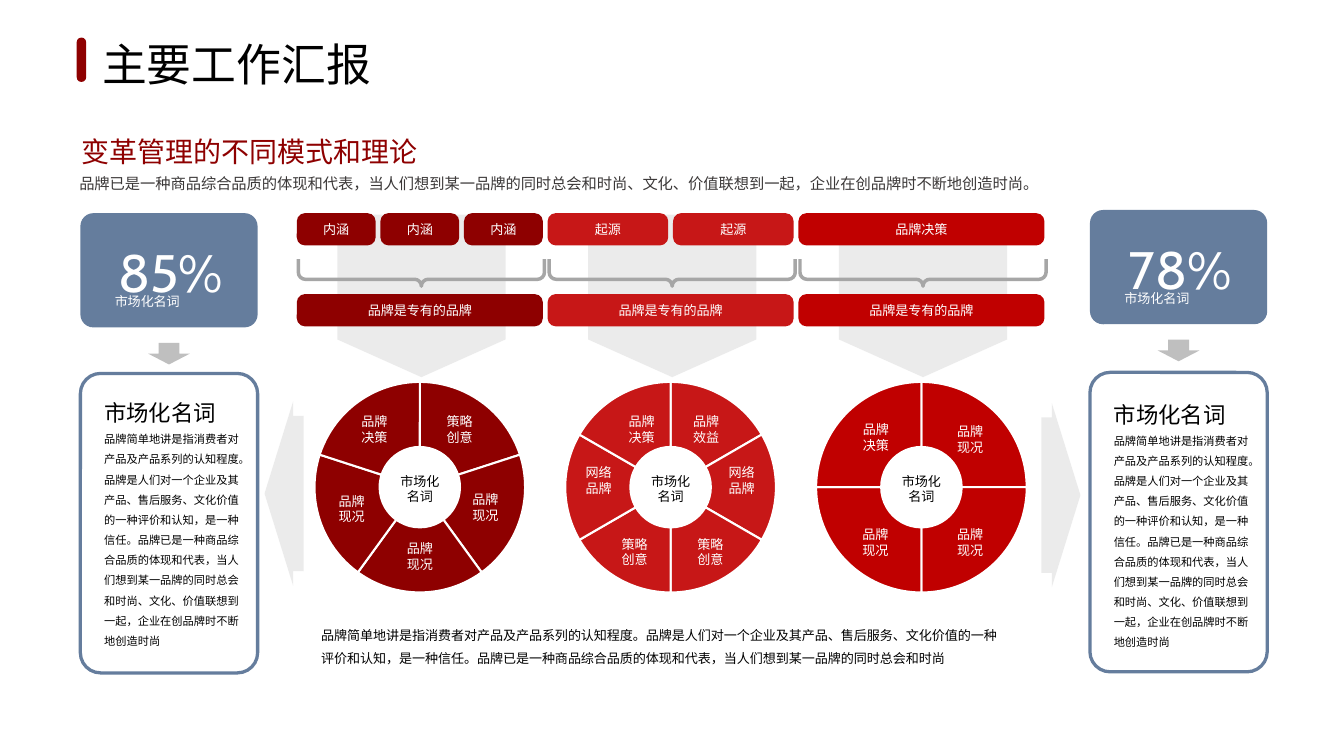
from dataclasses import dataclass
from math import cos, pi, sin

from lxml.etree import SubElement
from pptx import Presentation
from pptx.dml.color import RGBColor
from pptx.enum.shapes import MSO_SHAPE
from pptx.enum.text import MSO_ANCHOR, PP_ALIGN
from pptx.oxml.ns import qn
from pptx.util import Cm, Pt


@dataclass(frozen=True)
class Theme:
    font: str = "Cabin"
    dark_red: str = "8E0000"
    red: str = "C71717"
    bright_red: str = "C00000"
    blue: str = "657D9D"
    pale: str = "D9D9D9"
    brace: str = "A6A6A6"
    pointer: str = "BFBFBF"
    ink: str = "000000"
    soft_ink: str = "3B3838"
    white: str = "FFFFFF"
    title: float = 24
    subtitle: float = 15
    intro: float = 8.2
    figure: float = 28.2
    heading: float = 12
    label: float = 7
    body: float = 6


THEME = Theme()

# Content
TITLE = "主要工作汇报"
SUBTITLE = "变革管理的不同模式和理论"
INTRO = ("品牌已是一种商品综合品质的体现和代表，当人们想到某一品牌的同时总会和时尚、"
         "文化、价值联想到一起，企业在创品牌时不断地创造时尚。")
SUMMARY = ("品牌简单地讲是指消费者对产品及产品系列的认知程度。品牌是人们对一个企业及其"
           "产品、售后服务、文化价值的一种评价和认知，是一种信任。品牌已是一种商品综合"
           "品质的体现和代表，当人们想到某一品牌的同时总会和时尚")
DETAIL = SUMMARY + "、文化、价值联想到一起，企业在创品牌时不断地创造时尚"
TERM = "市场化名词"
HUB = "市场化\n名词"
RESULT = "品牌是专有的品牌"

# Segment labels run clockwise, with offsets in cm from the ring's centre
COLUMNS = [
    {"color": THEME.dark_red, "sources": ["内涵"] * 3, "segments": [
        ("策略\n创意", 0.75, -1.09), ("品牌\n现况", 1.24, 0.38), ("品牌\n现况", 0, 1.3),
        ("品牌\n现况", -1.29, 0.41), ("品牌\n决策", -0.86, -1.09)]},
    {"color": THEME.red, "sources": ["起源"] * 2, "segments": [
        ("品牌\n效益", 0.67, -1.09), ("网络\n品牌", 1.34, -0.13), ("策略\n创意", 0.75, 1.22),
        ("策略\n创意", -0.68, 1.22), ("网络\n品牌", -1.36, -0.13), ("品牌\n决策", -0.55, -1.09)]},
    {"color": THEME.bright_red, "sources": ["品牌决策"], "segments": [
        ("品牌\n现况", 0.92, -0.91), ("品牌\n现况", 0.92, 1.04),
        ("品牌\n现况", -0.87, 1.04), ("品牌\n决策", -0.86, -0.94)]},
]
SIDES = [
    {"figure": "85%", "x": 1.52, "card_y": 4.03, "panel_y": 7.06, "text_y": 7.19,
     "arrow": (MSO_SHAPE.LEFT_ARROW, 5.0, 7.59)},
    {"figure": "78%", "x": 20.6, "card_y": 3.97, "panel_y": 7.04, "text_y": 7.22,
     "arrow": (MSO_SHAPE.RIGHT_ARROW, 19.68, 7.62)},
]

# Layout in cm
COLUMN_X, COLUMN_W, GAP = 5.61, 4.65, 0.09
PILL_H, SOURCE_Y, RESULT_Y = 0.61, 4.03, 5.56
BRACE_Y, BRACE_DEPTH, BRACE_CURVE = 4.9, 0.51, 0.13
RING_Y, OUTER, INNER = 9.21, 1.99, 0.76
SIDE_W, SIDE_INSET = 3.35, 0.27
TIGHT, ROOMY, DEFAULT = (0.05, 0.05), (0.18, 0.1), (0.25, 0.13)

prs = Presentation()
prs.slide_width, prs.slide_height = Cm(25.4), Cm(14.29)
shapes = prs.slides.add_slide(prs.slide_layouts[6]).shapes


def write(frame, text, size, color, align=PP_ALIGN.LEFT, anchor=MSO_ANCHOR.TOP,
          inset=TIGHT, spacing=None, wrap=True):
    frame.word_wrap, frame.vertical_anchor = wrap, anchor
    frame.margin_left = frame.margin_right = Cm(inset[0])
    frame.margin_top = frame.margin_bottom = Cm(inset[1])
    frame.text = text
    for paragraph in frame.paragraphs:
        paragraph.alignment = align
        if spacing:
            paragraph.line_spacing = spacing
        paragraph.font.name, paragraph.font.size = THEME.font, Pt(size)
        paragraph.font.color.rgb = RGBColor.from_string(color)


def add_text(x, y, w, h, text, size, color, **style):
    box = shapes.add_textbox(Cm(x), Cm(y), Cm(w), Cm(h))
    write(box.text_frame, text, size, color, **style)


def paint(shape, fill=None, line=None, width=1.75, alpha=None):
    shape.shadow.inherit = False
    if fill:
        shape.fill.solid()
        shape.fill.fore_color.rgb = RGBColor.from_string(fill)
        if alpha:
            color = shape.fill._xPr.find(qn("a:solidFill"))[0]
            SubElement(color, qn("a:alpha")).set("val", str(alpha * 1000))
    else:
        shape.fill.background()
    if line:
        shape.line.color.rgb = RGBColor.from_string(line)
        shape.line.width = Pt(width)
    else:
        shape.line.fill.background()


def add_block(kind, x, y, w, h, adjust=(), **look):
    block = shapes.add_shape(kind, Cm(x), Cm(y), Cm(w), Cm(h))
    for index, value in enumerate(adjust):
        block.adjustments[index] = value
    paint(block, **look)
    return block


def add_pill(x, y, w, text, color):
    pill = add_block(MSO_SHAPE.ROUNDED_RECTANGLE, x, y, w, PILL_H, (0.252,), fill=color)
    write(pill.text_frame, text, THEME.label, THEME.white,
          align=PP_ALIGN.CENTER, anchor=MSO_ANCHOR.MIDDLE)


def add_label(cx, cy, text, color):
    add_text(cx - 0.7, cy - 0.35, 1.4, 0.7, text, THEME.label, color,
             align=PP_ALIGN.CENTER, anchor=MSO_ANCHOR.MIDDLE)


def add_ring(cx, count, color):
    """Equal block arcs from the top, parted by white outlines."""
    thickness = (OUTER - INNER) / (2 * OUTER)
    for index in range(count):
        # Angles are in 60000ths of a degree, adjustments in 100000ths
        start, end = ((360 * i / count + 270) % 360 * 0.6 for i in (index, index + 1))
        add_block(MSO_SHAPE.BLOCK_ARC, cx - OUTER, RING_Y - OUTER, 2 * OUTER, 2 * OUTER,
                  (start, end, thickness), fill=color, line=THEME.white, width=1.1)


def arc(cx, cy, radius, start, end, steps=4):
    """Points on an arc; angles run clockwise from the top."""
    angles = [start + (end - start) * step / steps for step in range(steps + 1)]
    return [(cx + radius * sin(a), cy - radius * cos(a)) for a in angles]


def add_brace(x):
    curve, middle, tip = BRACE_CURVE, x + COLUMN_W / 2, BRACE_Y + BRACE_DEPTH
    half = ([(x, BRACE_Y)]
            + arc(x + curve, tip - 2 * curve, curve, 1.5 * pi, pi)
            + arc(middle - curve, tip, curve, 0, pi / 2))
    mirrored = [(2 * middle - px, py) for px, py in reversed(half[:-1])]
    points = [(Cm(px), Cm(py)) for px, py in half + mirrored]
    builder = shapes.build_freeform(*points[0])
    builder.add_line_segments(points[1:], close=False)
    paint(builder.convert_to_shape(), line=THEME.brace, width=1.88)


# Heading
add_text(1.68, 0.56, 5.64, 1.27, TITLE, THEME.title, THEME.ink, inset=DEFAULT, wrap=False)
add_block(MSO_SHAPE.ROUNDED_RECTANGLE, 1.45, 0.71, 0.18, 0.84, (0.5,), fill=THEME.dark_red)
add_text(1.5, 2.49, 7.06, 0.74, SUBTITLE, THEME.subtitle, THEME.dark_red)
add_text(1.45, 3.07, 20.52, 0.58, INTRO, THEME.intro, THEME.soft_ink, spacing=1.5)

# Columns: arrow, source pills, brace, result pill and ring
for number, column in enumerate(COLUMNS):
    left = COLUMN_X + number * (COLUMN_W + GAP)
    center, color = left + COLUMN_W / 2, column["color"]
    sources, segments = column["sources"], column["segments"]
    add_block(MSO_SHAPE.DOWN_ARROW, center - 1.56, 4.06, 3.18, 3.07, (1, 0.232),
              fill=THEME.pale, alpha=50)
    pill_w = (COLUMN_W - GAP * (len(sources) - 1)) / len(sources)
    for place, source in enumerate(sources):
        add_pill(left + place * (pill_w + GAP), SOURCE_Y, pill_w, source, color)
    add_brace(left + 0.03)
    add_pill(left, RESULT_Y, COLUMN_W, RESULT, color)
    add_ring(center, len(segments), color)
    add_label(center, RING_Y + 0.03, HUB, THEME.ink)
    for segment, dx, dy in segments:
        add_label(center + dx, RING_Y + dy, segment, THEME.white)

# Sides: figure card, pointer, detail panel and arrow
for side in SIDES:
    x, card_y, text_y = side["x"], side["card_y"], side["text_y"]
    text_x = x + SIDE_INSET
    kind, arrow_x, arrow_y = side["arrow"]
    add_block(kind, arrow_x, arrow_y, 0.74, 3.48, (0.844, 0.73), fill=THEME.pale, alpha=50)
    add_block(MSO_SHAPE.ROUNDED_RECTANGLE, x, side["panel_y"], SIDE_W, 5.66, (0.114,),
              line=THEME.blue)
    add_block(MSO_SHAPE.ROUNDED_RECTANGLE, x, card_y, SIDE_W, 2.16, (0.114,), fill=THEME.blue)
    add_block(MSO_SHAPE.DOWN_ARROW, x + 1.28, card_y + 2.45, 0.79, 0.41, fill=THEME.pointer)
    add_text(text_x, text_y + 0.76, 2.92, 4.7, DETAIL, THEME.body, THEME.ink,
             inset=ROOMY, spacing=1.5)
    add_text(text_x, text_y, 2.57, 0.64, TERM, THEME.heading, THEME.ink,
             inset=ROOMY, spacing=1.5)
    add_text(text_x, card_y - 0.19, 2.87, 1.85, side["figure"], THEME.figure, THEME.white,
             align=PP_ALIGN.CENTER, inset=ROOMY, spacing=1.5)
    add_text(x + 0.47, card_y + 1.27, 2.21, 0.64, TERM, THEME.label, THEME.white,
             inset=ROOMY, spacing=1.5)

# Summary
add_text(5.89, 11.61, 13.34, 1.17, SUMMARY, THEME.label, THEME.ink, inset=ROOMY, spacing=1.5)

prs.save("out.pptx")
